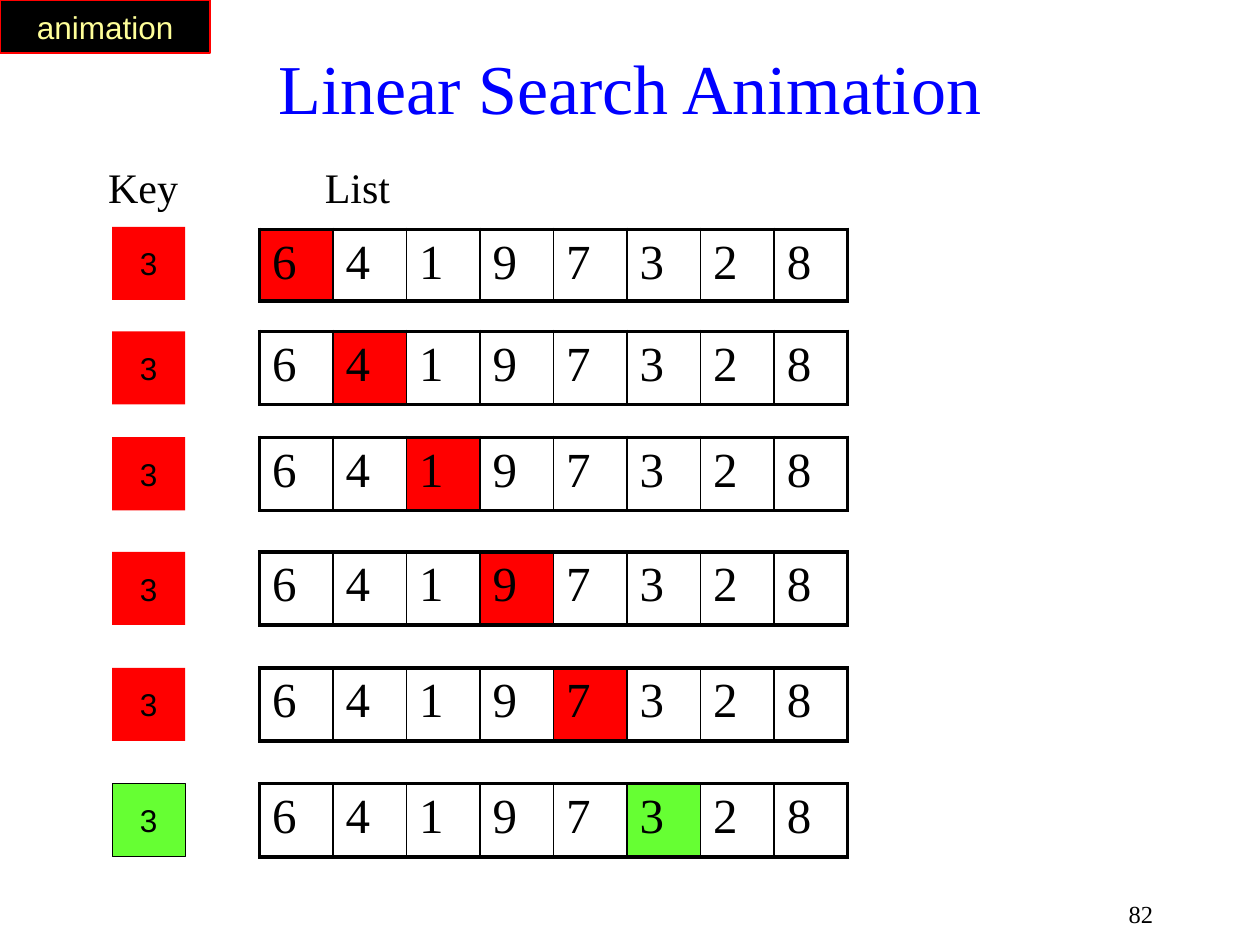
from dataclasses import dataclass

from lxml import etree
from pptx import Presentation
from pptx import util as u
from pptx.dml.color import RGBColor
from pptx.enum import shapes, text
from pptx.oxml import ns


@dataclass(frozen=True)
class Theme:
    """Colours, fonts and type sizes of the slide."""
    ink: str = "000000"
    paper: str = "FFFFFF"
    title: str = "0000FF"
    miss: str = "FF0000"
    hit: str = "66FF33"
    badge: str = "FFFF99"
    serif: str = "Times New Roman"
    sans: str = "Arial"
    big: int = 40
    digit: int = 28
    label: int = 24
    body: int = 18
    small: int = 14


T = Theme()
KEY = 3
ITEMS = [6, 4, 1, 9, 7, 3, 2, 8]
TOPS = [1.8, 2.63, 3.47, 4.38, 5.3, 6.22]
SIDE = 0.58
LEFT, WIDE = 2.06, 4.67
THICK, THIN = 2.25, 1
ALIGN = text.PP_ALIGN


def rgb(color):
    """Turn a hex string into a colour."""
    return RGBColor.from_string(color)


def write(frame, words, size, font, color, align=None, before=0):
    """Set one styled paragraph, with space before in percent of a line."""
    frame.text = str(words)
    para = frame.paragraphs[0]
    para.alignment = align
    if before:
        space = etree.SubElement(para._p.get_or_add_pPr(), ns.qn("a:spcBef"))
        etree.SubElement(space, ns.qn("a:spcPct"), val=str(before * 1000))
    style = para.runs[0].font
    style.size = u.Pt(size)
    style.name = font
    style.color.rgb = rgb(color)


def label(slide, place, words, size, color, align=None, before=0,
          anchor=text.MSO_ANCHOR.TOP, wrap=True):
    """Add a text box in the serif font."""
    frame = slide.shapes.add_textbox(*map(u.Inches, place)).text_frame
    frame.word_wrap = wrap
    frame.vertical_anchor = anchor
    write(frame, words, size, T.serif, color, align, before)


def box(slide, place, words, fill, color, line=None, weight=1):
    """Add a filled rectangle with centred text."""
    rect = slide.shapes.add_shape(
        shapes.MSO_SHAPE.RECTANGLE, *map(u.Inches, place))
    rect.shadow.inherit = False
    rect.fill.solid()
    rect.fill.fore_color.rgb = rgb(fill)
    if line:
        rect.line.color.rgb = rgb(line)
        rect.line.width = u.Pt(weight)
    else:
        rect.line.fill.background()
    frame = rect.text_frame
    frame.word_wrap = False
    frame.vertical_anchor = text.MSO_ANCHOR.MIDDLE
    write(frame, words, T.body, T.sans, color, ALIGN.CENTER)


def edge(cell, side, weight):
    """Draw one border of a cell."""
    line = etree.SubElement(cell._tc.get_or_add_tcPr(), ns.qn("a:ln" + side),
                            w=str(u.Pt(weight)))
    fill = etree.SubElement(line, ns.qn("a:solidFill"))
    etree.SubElement(fill, ns.qn("a:srgbClr"), val=T.ink)


def row(slide, top, high, mark, color):
    """Add the list as a one-row table with one marked cell."""
    last = len(ITEMS) - 1
    grid = slide.shapes.add_table(
        1, len(ITEMS), *map(u.Inches, (LEFT, top, WIDE, high))).table
    grid.first_row = grid.horz_banding = False
    for i, item in enumerate(ITEMS):
        grid.columns[i].width = u.Inches(WIDE / len(ITEMS))
        cell = grid.cell(0, i)
        edge(cell, "L", THICK if i == 0 else THIN)
        edge(cell, "R", THICK if i == last else THIN)
        edge(cell, "T", THICK)
        edge(cell, "B", THICK)
        cell.fill.solid()
        cell.fill.fore_color.rgb = rgb(color if i == mark else T.paper)
        write(cell.text_frame, item, T.digit, T.serif, T.ink, before=20)


def main():
    """Build the slide and save it."""
    deck = Presentation()
    deck.slide_width, deck.slide_height = u.Inches(10), u.Inches(7.5)
    slide = deck.slides.add_slide(deck.slide_layouts[6])
    mid = text.MSO_ANCHOR.MIDDLE

    label(slide, (7.17, 7, 2.08, 0.5), "82", T.small, T.ink, ALIGN.RIGHT,
          anchor=mid)
    label(slide, (0.75, 0.31, 8.5, 0.75), "Linear Search Animation", T.big,
          T.title, ALIGN.CENTER, anchor=mid)

    for step, top in enumerate(TOPS):
        found = ITEMS[step] == KEY
        color = T.hit if found else T.miss
        drop = 0.02 if step == 0 else 0
        row(slide, top + drop, SIDE - drop / 2, step, color)
        box(slide, (0.89, top, SIDE, SIDE), KEY, color, T.ink,
            T.ink if found else None, 0.75)

    box(slide, (0, 0, 1.67, 0.42), "animation", T.ink, T.badge, T.miss)
    label(slide, (0.76, 1.23, 1.22, 0.5), "Key", T.label, T.ink, before=50)
    label(slide, (2.48, 1.23, 2.44, 0.5), "List", T.label, T.ink, before=50)
    deck.save("out.pptx")


main()
